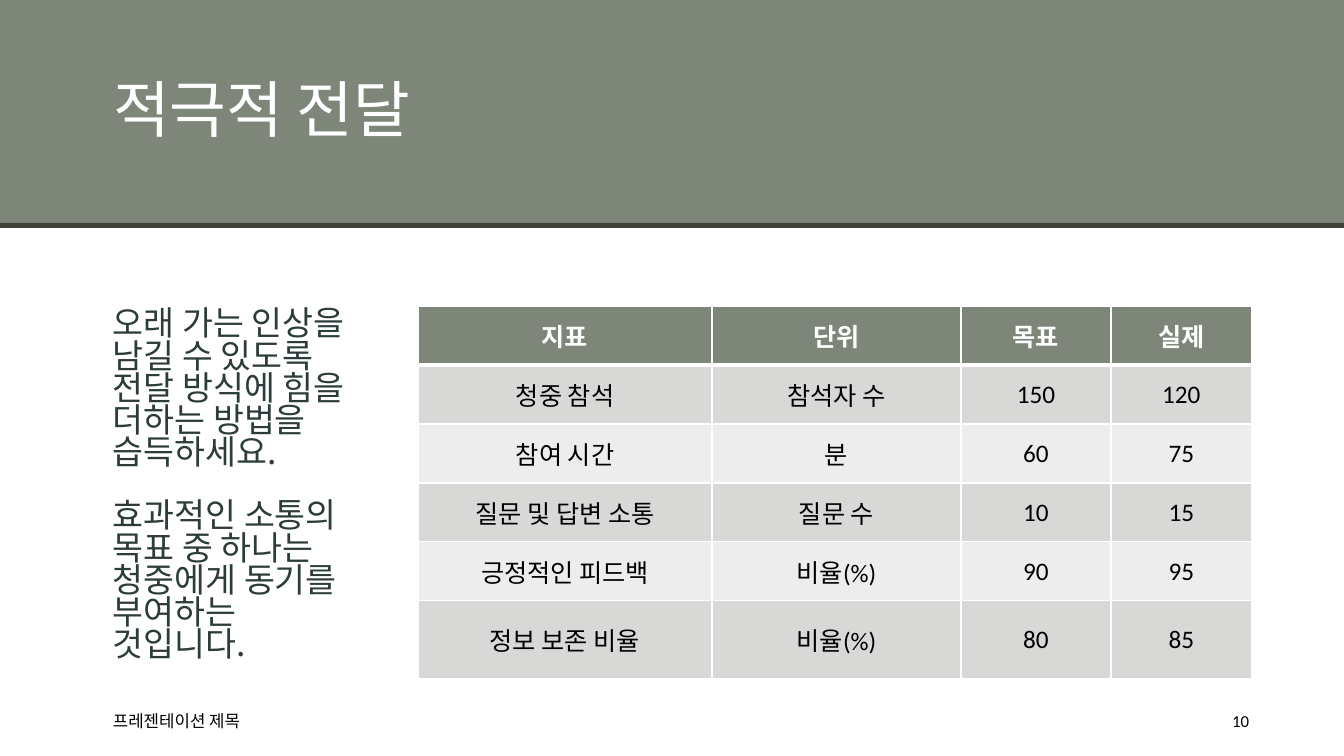
import pptx
import pptx.dml.color
import pptx.enum.shapes
import pptx.enum.text
import pptx.oxml
import pptx.oxml.ns
import pptx.util

PX = 914400 / 100.8
KOREAN, LATIN = "Noto Sans CJK KR", "Calibri"
WHITE, BLACK, SAGE, CHARCOAL, PINE = "FFFFFF", "000000", "7E8679", "3F433C", "2C3C3A"
ROW_FILLS = ("D8D9D7", "ECEDEC")
ALIGN = pptx.enum.text.PP_ALIGN
MIDDLE = pptx.enum.text.MSO_ANCHOR.MIDDLE

COLUMN_WIDTHS = (294, 249, 150, 141)
ROW_HEIGHTS = (59, 59, 59, 59, 59, 78)
METRICS = (
    ("지표", "단위", "목표", "실제"),
    ("청중 참석", "참석자 수", "150", "120"),
    ("참여 시간", "분", "60", "75"),
    ("질문 및 답변 소통", "질문 수", "10", "15"),
    ("긍정적인 피드백", "비율(%)", "90", "95"),
    ("정보 보존 비율", "비율(%)", "80", "85"),
)
ADVICE = (
    "오래 가는 인상을 남길 수 있도록 전달 방식에 힘을 더하는 방법을 습득하세요.",
    "효과적인 소통의 \v목표 중 하나는 청중에게 동기를 부여하는 것입니다.",
)


def px(length):
    return pptx.util.Emu(round(length * PX))


def rgb(color):
    return pptx.dml.color.RGBColor.from_string(color)


def format_paragraph(paragraph, size, color, font=KOREAN, align=ALIGN.LEFT, bold=False):
    paragraph.alignment = align
    paragraph.font.size = pptx.util.Pt(size)
    paragraph.font.bold = bold
    paragraph.font.color.rgb = rgb(color)
    paragraph.font.name = font
    # East Asian typeface follows the Latin one
    latin = paragraph._p.find(".//" + pptx.oxml.ns.qn("a:latin"))
    latin.addnext(pptx.oxml.parse_xml(
        f'<a:ea {pptx.oxml.ns.nsdecls("a")} typeface="{KOREAN}"/>'))


def add_band(slide, top, height, color):
    band = slide.shapes.add_shape(
        pptx.enum.shapes.MSO_SHAPE.RECTANGLE, 0, px(top), px(1344), px(height))
    band.shadow.inherit = False
    band.fill.solid()
    band.fill.fore_color.rgb = rgb(color)
    band.line.fill.background()


def set_title(slide, text, left, top, width, height):
    title = slide.shapes.title
    title.left, title.top, title.width, title.height = map(px, (left, top, width, height))
    title.text_frame.text = text
    title.text_frame.vertical_anchor = MIDDLE
    title.text_frame.auto_size = pptx.enum.text.MSO_AUTO_SIZE.NONE
    paragraph = title.text_frame.paragraphs[0]
    paragraph.line_spacing = 0.9
    format_paragraph(paragraph, 44, WHITE)
    # Bring the title in front of the header band
    title.element.getparent().append(title.element)


def add_text(slide, box, texts, size, color, font=KOREAN, align=ALIGN.LEFT):
    frame = slide.shapes.add_textbox(*map(px, box)).text_frame
    frame.word_wrap = True
    frame.text = "\n".join(texts)
    for paragraph in frame.paragraphs:
        format_paragraph(paragraph, size, color, font, align)
    return frame


def set_borders(cell, bottom):
    properties = cell._tc.get_or_add_tcPr()
    widths = {"lnL": 1, "lnR": 1, "lnT": 1, "lnB": bottom}
    for position, (side, points) in enumerate(widths.items()):
        properties.insert(position, pptx.oxml.parse_xml(
            f'<a:{side} {pptx.oxml.ns.nsdecls("a")} w="{pptx.util.Pt(points)}">'
            f'<a:solidFill><a:srgbClr val="{WHITE}"/></a:solidFill></a:{side}>'))


def add_metrics_table(slide, left, top):
    table = slide.shapes.add_table(
        len(METRICS), len(COLUMN_WIDTHS), px(left), px(top),
        px(sum(COLUMN_WIDTHS)), px(sum(ROW_HEIGHTS))).table
    for column, width in zip(table.columns, COLUMN_WIDTHS):
        column.width = px(width)
    for index, (row, height, values) in enumerate(zip(table.rows, ROW_HEIGHTS, METRICS)):
        row.height = px(height)
        header = index == 0
        for cell, value in zip(row.cells, values):
            cell.text = value
            cell.vertical_anchor = MIDDLE
            cell.fill.solid()
            cell.fill.fore_color.rgb = rgb(SAGE if header else ROW_FILLS[(index - 1) % 2])
            set_borders(cell, bottom=3 if header else 1)
            format_paragraph(cell.text_frame.paragraphs[0], 18,
                             WHITE if header else BLACK, LATIN, ALIGN.CENTER, header)


def main():
    presentation = pptx.Presentation()
    presentation.slide_width, presentation.slide_height = px(1344), px(756)
    slide = presentation.slides.add_slide(presentation.slide_layouts[5])

    # Header
    add_band(slide, 0, 226, SAGE)
    add_band(slide, 223, 5, CHARCOAL)
    set_title(slide, "적극적 전달", 103, 25, 1050, 176)

    # Advice beside the table
    advice = add_text(slide, (103, 305, 274, 386), ADVICE, 24, PINE)
    for index, paragraph in enumerate(advice.paragraphs):
        paragraph.line_spacing = 0.8
        paragraph.space_before = pptx.util.Pt(10 if index else 0)
        paragraph.space_after = pptx.util.Pt(12)

    add_metrics_table(slide, 418, 306)

    # Footer
    footer = add_text(slide, (103, 701, 454, 40), ["프레젠테이션 제목"], 12, BLACK)
    number = add_text(slide, (1172, 701, 87, 40), ["10"], 12, BLACK, LATIN, ALIGN.RIGHT)
    footer.vertical_anchor = number.vertical_anchor = MIDDLE

    presentation.save("out.pptx")


if __name__ == "__main__":
    main()
